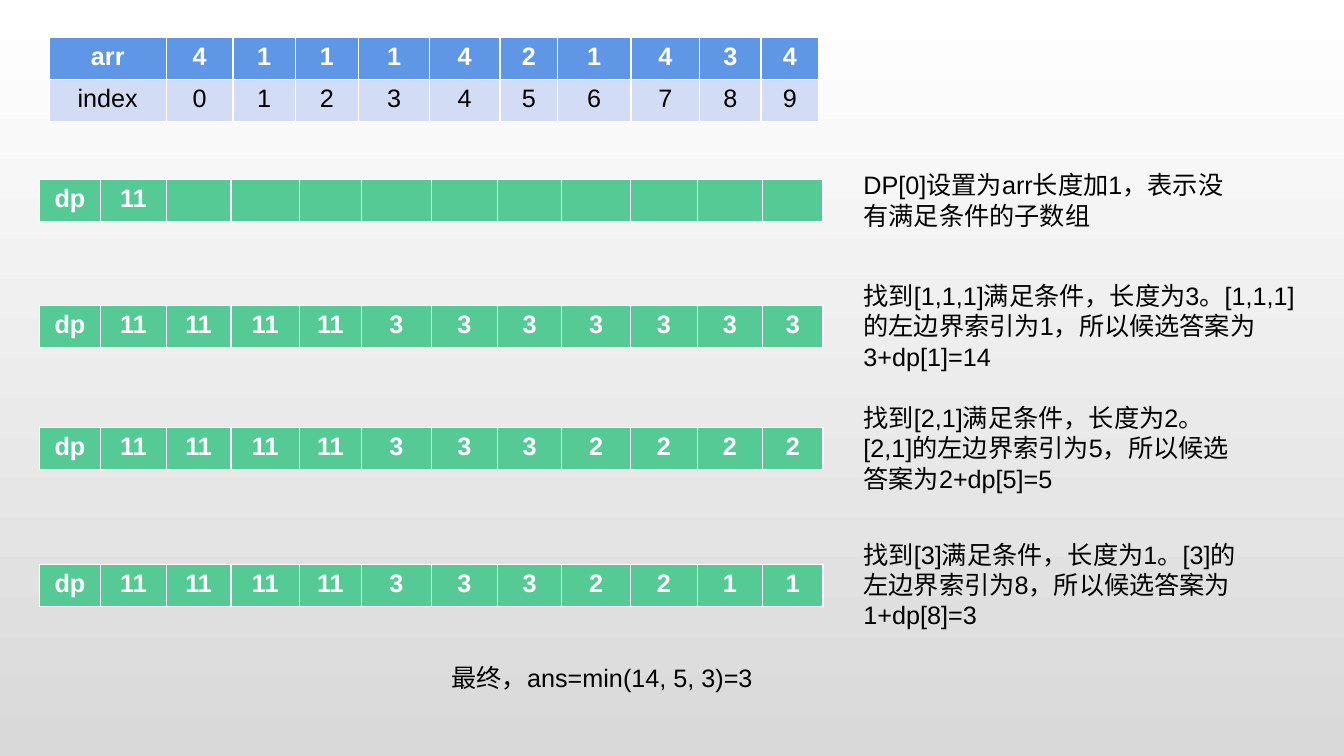
from pptx import Presentation
from pptx.dml.color import RGBColor
from pptx.enum.text import MSO_AUTO_SIZE as AutoSize, PP_ALIGN as Align
from pptx.util import Cm, Pt

ROW_HEIGHT = 1.06
ARRAY_COLUMNS = [2.95, 1.68, 1.57, 1.6, 1.78, 1.78, 1.45, 1.85, 1.73, 1.55, 1.45]
DP_COLUMNS = [1.55, 1.65, 1.63, 1.73, 1.55, 1.78, 1.65, 1.63, 1.73, 1.68, 1.65, 1.52]
ARRAY = [4, 1, 1, 1, 4, 2, 1, 4, 3, 4]
STEPS = [
    (4.52, [11] + [""] * 10, 10.16, 1.8,
     "DP[0]设置为arr长度加1，表示没有满足条件的子数组"),
    (7.7, [11] * 4 + [3] * 7, 11.56, 2.57,
     "找到[1,1,1]满足条件，长度为3。[1,1,1]的左边界索引为1，所以候选答案为3+dp[1]=14"),
    (10.77, [11] * 4 + [3] * 3 + [2] * 4, 10.16, 2.57,
     "找到[2,1]满足条件，长度为2。[2,1]的左边界索引为5，所以候选答案为2+dp[5]=5"),
    (14.22, [11] * 4 + [3] * 3 + [2] * 2 + [1] * 2, 10.16, 2.57,
     "找到[3]满足条件，长度为1。[3]的左边界索引为8，所以候选答案为1+dp[8]=3"),
]


def color(hex_code):
    """Turn a hex string into a colour."""
    return RGBColor.from_string(hex_code)


def add_text(paragraph, text, ink, bold=False):
    """Add one run in the slide's type style."""
    run = paragraph.add_run()
    run.text = text
    run.font.name = "Arial"
    run.font.size = Pt(18)
    run.font.bold = bold
    run.font.color.rgb = color(ink)


def paint_background(slide):
    """Fill the slide with a vertical white to grey gradient."""
    fill = slide.background.fill
    fill.gradient()
    fill.gradient_angle = 270
    for stop, shade in zip(fill.gradient_stops, ["FFFFFF", "D9D9D9"]):
        stop.color.rgb = color(shade)


def add_grid(slide, left, top, columns, rows):
    """Draw a table from rows of (values, fill, ink, bold)."""
    grid = slide.shapes.add_table(
        len(rows), len(columns), Cm(left), Cm(top),
        Cm(sum(columns)), Cm(ROW_HEIGHT * len(rows))).table
    for column, width in zip(grid.columns, columns):
        column.width = Cm(width)
    for row, (values, fill, ink, bold) in zip(grid.rows, rows):
        row.height = Cm(ROW_HEIGHT)
        for cell, value in zip(row.cells, values):
            cell.fill.solid()
            cell.fill.fore_color.rgb = color(fill)
            paragraph = cell.text_frame.paragraphs[0]
            paragraph.alignment = Align.CENTER
            if value != "":
                add_text(paragraph, str(value), ink, bold)


def add_note(slide, left, top, width, height, text):
    """Place a wrapped text box."""
    frame = slide.shapes.add_textbox(Cm(left), Cm(top), Cm(width), Cm(height)).text_frame
    frame.word_wrap = True
    frame.auto_size = AutoSize.SHAPE_TO_FIT_TEXT
    add_text(frame.paragraphs[0], text, "000000")


def add_array(slide, left, top):
    """Show the array above its indices."""
    add_grid(slide, left, top, ARRAY_COLUMNS, [
        (["arr", *ARRAY], "6096E6", "FFFFFF", True),
        (["index", *range(len(ARRAY))], "D2DDF5", "000000", False),
    ])


def add_step(slide, left, top, values, note_width, note_height, note):
    """Show one dp state with its note centred beside it."""
    add_grid(slide, left, top, DP_COLUMNS, [(["dp", *values], "56CA95", "FFFFFF", True)])
    note_top = top + (ROW_HEIGHT - note_height) / 2
    add_note(slide, left + 20.52, note_top, note_width, note_height, note)


def main():
    """Build and save the slide."""
    deck = Presentation()
    deck.slide_width, deck.slide_height = Cm(33.87), Cm(19.05)
    slide = deck.slides.add_slide(deck.slide_layouts[6])
    paint_background(slide)
    add_array(slide, 1.24, 0.94)
    for step in STEPS:
        add_step(slide, 0.99, *step)
    add_note(slide, 11.13, 16.56, 10.9, 1.02, "最终，ans=min(14, 5, 3)=3")
    deck.save("out.pptx")


if __name__ == "__main__":
    main()
